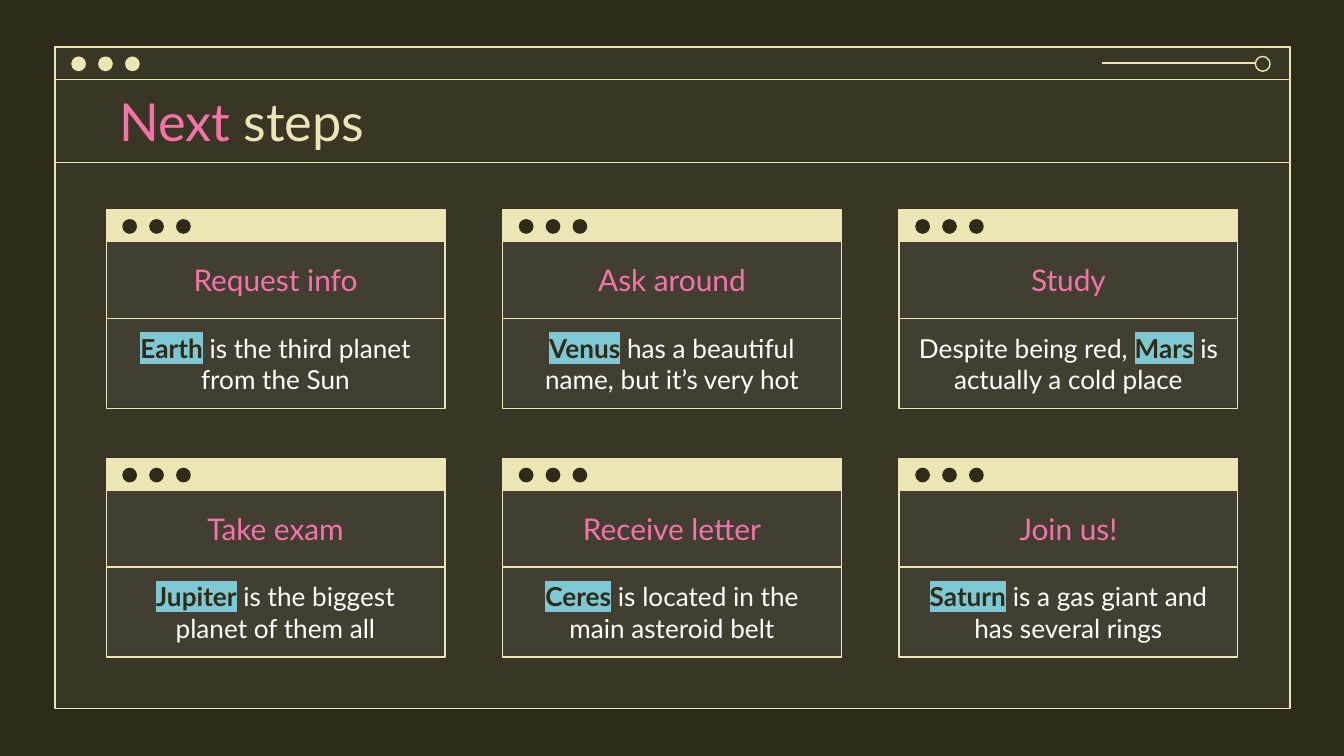
from lxml import etree
from pptx import Presentation
from pptx.dml.color import RGBColor
from pptx.enum.shapes import MSO_CONNECTOR, MSO_SHAPE
from pptx.enum.text import MSO_ANCHOR, PP_ALIGN
from pptx.oxml.ns import qn
from pptx.util import Inches, Pt

RECT, OVAL = MSO_SHAPE.RECTANGLE, MSO_SHAPE.OVAL
STRAIGHT = MSO_CONNECTOR.STRAIGHT
TOP, MIDDLE = MSO_ANCHOR.TOP, MSO_ANCHOR.MIDDLE
LEFT, CENTER = PP_ALIGN.LEFT, PP_ALIGN.CENTER

DARK = RGBColor(0x2F, 0x2B, 0x19)
CREAM = RGBColor(0xEC, 0xE5, 0xB4)
PINK = RGBColor(0xF6, 0x73, 0xA9)
BLUE = RGBColor(0x7E, 0xC8, 0xD4)
GRAY = RGBColor(0x7C, 0x7C, 0x7C)
WHITE = RGBColor(0xFF, 0xFF, 0xFF)

CARDS = [
    ("Request info", "", "Earth", " is the third planet from the Sun"),
    ("Ask around", "", "Venus", " has a beautiful name, but it’s very hot"),
    ("Study", "Despite being red, ", "Mars", " is actually a cold place"),
    ("Take exam", "", "Jupiter", " is the biggest planet of them all"),
    ("Receive letter", "", "Ceres", " is located in the main asteroid belt"),
    ("Join us!", "", "Saturn", " is a gas giant and has several rings"),
]


class Deck:
    font = "Lato"
    stroke = Pt(0.75)
    bar = 0.24
    dot = 0.11
    dot_step = 0.2
    card_width = 2.52

    def __init__(self, s):
        self.s = s
        fill = s.background.fill
        fill.solid()
        fill.fore_color.rgb = DARK

    def shape(self, kind, x, y, w, h, fill=None, line=None, alpha=None):
        sp = self.s.shapes.add_shape(kind, Inches(x), Inches(y), Inches(w), Inches(h))
        sp.shadow.inherit = False
        if fill is None:
            sp.fill.background()
        else:
            sp.fill.solid()
            sp.fill.fore_color.rgb = fill
        if alpha is not None:
            color = sp.fill._xPr.find(qn("a:solidFill"))[0]
            etree.SubElement(color, qn("a:alpha")).set("val", str(alpha * 1000))
        if line is None:
            sp.line.fill.background()
        else:
            sp.line.color.rgb = line
            sp.line.width = self.stroke
        return sp

    def line(self, x1, y1, x2, y2):
        c = self.s.shapes.add_connector(STRAIGHT, Inches(x1), Inches(y1), Inches(x2), Inches(y2))
        c.line.color.rgb = CREAM
        c.line.width = self.stroke
        etree.SubElement(c._element.spPr, qn("a:effectLst"))

    def dots(self, x, y, color):
        for i in range(3):
            self.shape(OVAL, x + i * self.dot_step, y, self.dot, self.dot, color)

    def highlight(self, r, color):
        mark = etree.Element(qn("a:highlight"))
        etree.SubElement(mark, qn("a:srgbClr")).set("val", str(color))
        r.font._element.find(qn("a:solidFill")).addnext(mark)

    def text(self, sp, parts, size, align=CENTER, anchor=MIDDLE):
        tf = sp.text_frame
        tf.word_wrap = True
        tf.vertical_anchor = anchor
        tf.margin_left = tf.margin_right = tf.margin_top = tf.margin_bottom = Inches(0.1)
        p = tf.paragraphs[0]
        p.alignment = align
        for words, color, mark in parts:
            r = p.add_run()
            r.text = words
            r.font.name = self.font
            r.font.size = Pt(size)
            r.font.color.rgb = color
            r.font.bold = mark is not None
            if mark is not None:
                self.highlight(r, mark)

    def window(self):
        x, y, w, h = 0.41, 0.35, 9.19, 4.92
        self.shape(RECT, x, y, w, h, GRAY, alpha=14)
        self.shape(RECT, x, y, w, h, line=CREAM)
        self.shape(RECT, x, y, w, self.bar, line=CREAM)
        self.dots(0.53, 0.42, CREAM)
        self.shape(OVAL, 9.34, 0.42, self.dot, self.dot, line=CREAM)
        self.line(8.2, 0.47, 9.34, 0.47)
        self.line(x, 1.21, x + w, 1.21)

    def title(self, first, rest):
        sp = self.s.shapes.add_textbox(Inches(0.79), Inches(0.59), Inches(8.43), Inches(0.62))
        self.text(sp, [(first, PINK, None), (rest, CREAM, None)], 28, LEFT)

    def card(self, x, y, heading, before, planet, after):
        w = self.card_width
        self.shape(RECT, x, y + self.bar, w, 1.23, GRAY, alpha=14)
        self.shape(RECT, x, y, w, self.bar, CREAM, CREAM)
        self.dots(x + 0.12, y + 0.07, DARK)
        head = self.shape(RECT, x, y + 0.23, w, 0.58, line=CREAM)
        self.text(head, [(heading, PINK, None)], 16)
        body = self.shape(RECT, x, y + 0.81, w, 0.67, line=CREAM)
        parts = [(before, WHITE, None), (planet, DARK, BLUE), (after, WHITE, None)]
        self.text(body, [part for part in parts if part[0]], 14, anchor=TOP)


def main():
    prs = Presentation()
    prs.slide_width = Inches(10)
    prs.slide_height = prs.slide_width * 9 // 16
    deck = Deck(prs.slides.add_slide(prs.slide_layouts[6]))
    deck.window()
    deck.title("Next", " steps")
    for i, card in enumerate(CARDS):
        row, col = divmod(i, 3)
        deck.card(0.79 + col * 2.95, 1.56 + row * 1.85, *card)
    prs.save("out.pptx")


if __name__ == "__main__":
    main()
